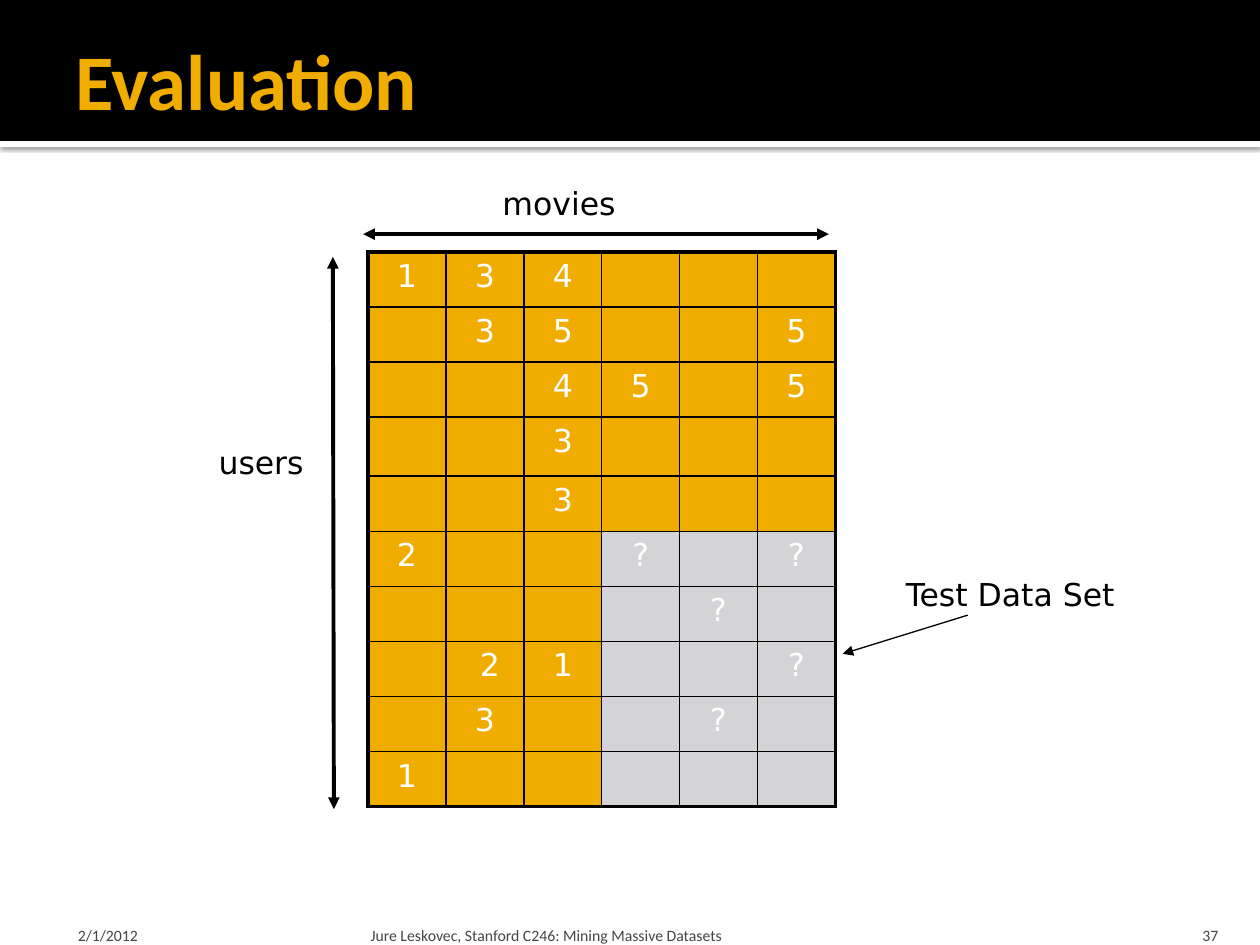
from lxml.etree import SubElement
from pptx import Presentation
from pptx.dml.color import RGBColor
from pptx.enum.shapes import MSO_CONNECTOR, MSO_SHAPE
from pptx.enum.text import MSO_ANCHOR, MSO_AUTO_SIZE, PP_ALIGN
from pptx.oxml.ns import qn
from pptx.util import Cm, Pt

BLACK = RGBColor(0x00, 0x00, 0x00)
WHITE = RGBColor(0xFF, 0xFF, 0xFF)
GOLD = RGBColor(0xF0, 0xAD, 0x00)
SILVER = RGBColor(0xD4, 0xD4, 0xD6)
GREY = RGBColor(0x45, 0x45, 0x45)

HEAD = "Calibri"
BODY = "DejaVu Sans"

RATINGS = [
    "1,3,4,,,",
    ",3,5,,,5",
    ",,4,5,,5",
    ",,3,,,",
    ",,3,,,",
    "2,,,?,,?",
    ",,,,?,",
    ", 2,1,,,?",
    ",3,,,?,",
    "1,,,,,",
]
TEST_ROW, TEST_COL = 5, 3


class Deck:
    def __init__(self):
        self.prs = Presentation()
        self.prs.slide_width, self.prs.slide_height = Cm(25.4), Cm(19.05)
        self.slide = self.prs.slides.add_slide(self.prs.slide_layouts[6])
        self.shapes = self.slide.shapes

    def style(self, frame, size, font, color, bold=False, align=PP_ALIGN.LEFT):
        for para in frame.paragraphs:
            para.alignment = align
            for run in para.runs:
                run.font.size, run.font.name = Pt(size), font
                run.font.bold, run.font.color.rgb = bold, color

    def band(self, top, height, color):
        band = self.shapes.add_shape(MSO_SHAPE.RECTANGLE, 0, Cm(top),
                                     self.prs.slide_width, Cm(height))
        band.fill.solid()
        band.fill.fore_color.rgb = color
        band.line.fill.background()
        band.shadow.inherit = False
        return band

    def shade(self, shape):
        """Give the shape a soft shadow that falls straight down."""
        effects = shape.element.spPr.find(qn("a:effectLst"))
        outer = SubElement(effects, qn("a:outerShdw"), blurRad=str(Pt(2.5)),
                           dist=str(Pt(0.8)), dir="5400000", rotWithShape="0")
        tint = SubElement(outer, qn("a:srgbClr"), val=str(BLACK))
        SubElement(tint, qn("a:alpha"), val="60000")

    def text(self, words, box, size, font, color, wrap=True, grow=False,
             anchor=MSO_ANCHOR.TOP, pad=(0.25, 0.13, 0.25, 0.13), **look):
        frame = self.shapes.add_textbox(*map(Cm, box)).text_frame
        frame.text = words
        frame.word_wrap = wrap
        frame.auto_size = (MSO_AUTO_SIZE.SHAPE_TO_FIT_TEXT if grow
                           else MSO_AUTO_SIZE.NONE)
        frame.vertical_anchor = anchor
        (frame.margin_left, frame.margin_top,
         frame.margin_right, frame.margin_bottom) = map(Cm, pad)
        self.style(frame, size, font, color, **look)

    def label(self, words, box, wrap=False, align=PP_ALIGN.LEFT):
        self.text(words, box, 18, BODY, BLACK, wrap, grow=True, align=align)

    def foot(self, words, left, width, inset, right=0.13, align=PP_ALIGN.LEFT):
        self.text(words, (left, 18.29, width, 0.76), 9, HEAD, GREY,
                  anchor=MSO_ANCHOR.BOTTOM, pad=(inset, 0.13, right, 0),
                  align=align)

    def arrow(self, start, end, width, both=True):
        line = self.shapes.add_connector(MSO_CONNECTOR.STRAIGHT,
                                         *map(Cm, start + end))
        line.line.color.rgb = BLACK
        line.line.width = Pt(width)
        pen = line.line._get_or_add_ln()
        for tip in ("a:headEnd", "a:tailEnd") if both else ("a:tailEnd",):
            SubElement(pen, qn(tip), type="triangle")
        SubElement(line.element.spPr, qn("a:effectLst"))

    def edge(self, cell, outer):
        """Rule all four sides, heavier where the side is an outer one."""
        props = cell._tc.get_or_add_tcPr()
        for side in "LRTB":
            width = Pt(2.25 if side in outer else 1)
            pen = SubElement(props, qn(f"a:ln{side}"), w=str(width))
            fill = SubElement(pen, qn("a:solidFill"))
            SubElement(fill, qn("a:srgbClr"), val=str(BLACK))

    def grid(self, rows, box):
        data = [row.split(",") for row in rows]
        last_row, last_col = len(data) - 1, len(data[0]) - 1
        table = self.shapes.add_table(last_row + 1, last_col + 1,
                                      *map(Cm, box)).table
        table.first_row = table.horz_banding = False
        for col in table.columns:
            col.width = Cm(1.57)
        for r, row in enumerate(data):
            table.rows[r].height = Cm(1.19 if r == 3 else 1.11)
            for c, mark in enumerate(row):
                cell = table.cell(r, c)
                sides = {"L": c == 0, "R": c == last_col,
                         "T": r == 0, "B": r == last_row}
                self.edge(cell, [side for side in sides if sides[side]])
                test = r >= TEST_ROW and c >= TEST_COL
                cell.fill.solid()
                cell.fill.fore_color.rgb = SILVER if test else GOLD
                if mark:
                    cell.text_frame.text = mark
                self.style(cell.text_frame, 18, BODY, WHITE,
                           align=PP_ALIGN.CENTER)


def main():
    deck = Deck()
    deck.shade(deck.band(2.84, 0.13, WHITE))
    deck.band(0, 2.84, BLACK)
    deck.text("Evaluation", (1.27, 0.43, 22.86, 2.34), 45, HEAD, GOLD,
              anchor=MSO_ANCHOR.MIDDLE, pad=(0.25, 0.13, 0.13, 0.13),
              bold=True)

    deck.grid(RATINGS, (7.42, 5.08, 9.42, 11.18))
    deck.label("Test Data Set", (18.01, 11.46, 4.85, 1.02))
    deck.label("users", (2.79, 8.81, 4.95, 1.02), True, PP_ALIGN.CENTER)
    deck.arrow((6.71, 5.18), (6.73, 16.31), 2.25)
    deck.arrow((7.32, 4.72), (16.71, 4.72), 2.25)
    deck.arrow((19.51, 12.4), (16.99, 13.18), 0.75, both=False)
    deck.label("movies", (9.88, 3.58, 2.79, 1.02))

    deck.foot("2/1/2012", 1.27, 5.92, 0.3)
    deck.foot("Jure Leskovec, Stanford C246: Mining Massive Datasets",
              7.34, 15.29, 0.13)
    deck.foot("37", 22.78, 2.03, 0.25, 0.25, PP_ALIGN.RIGHT)
    deck.prs.save("out.pptx")


if __name__ == "__main__":
    main()
